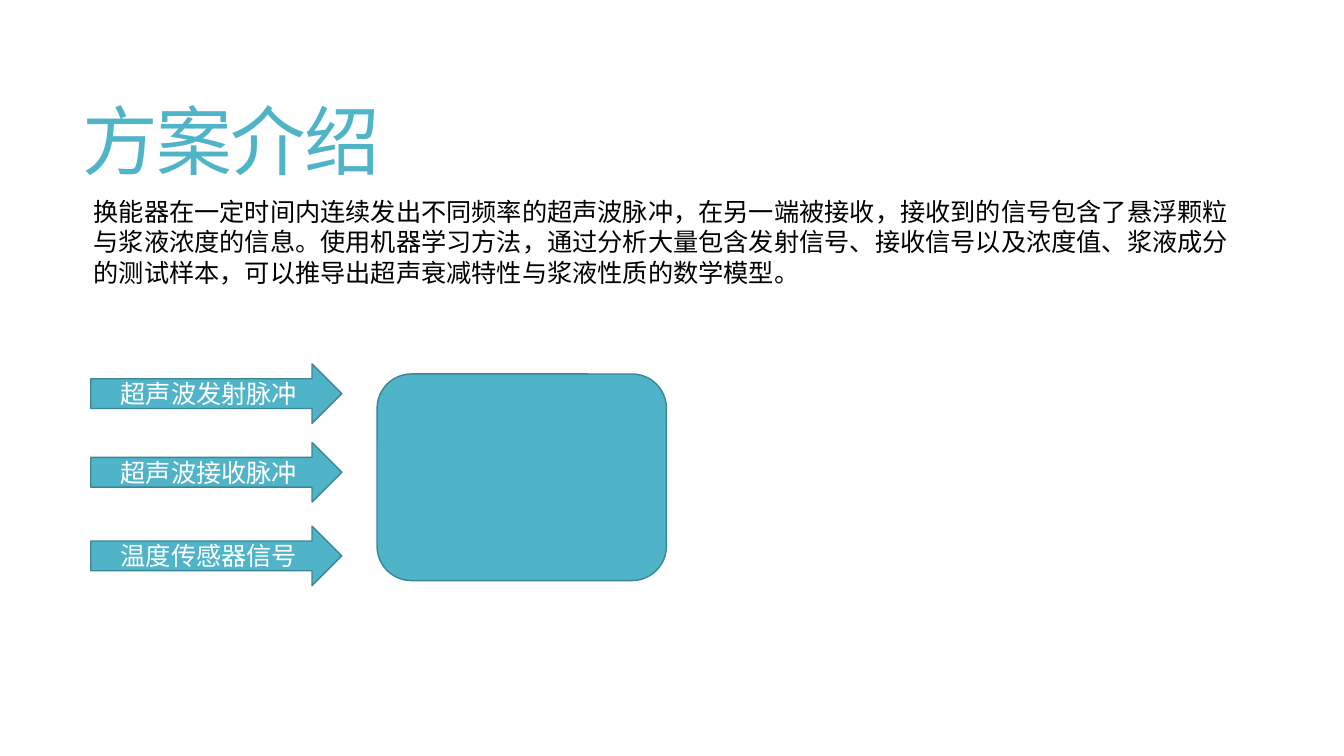
import pptx
import pptx.util
import pptx.dml.color
import pptx.enum.shapes
import pptx.enum.text

Inches = pptx.util.Inches
Pt = pptx.util.Pt
RGBColor = pptx.dml.color.RGBColor
Preset = pptx.enum.shapes.MSO_SHAPE
Align = pptx.enum.text.PP_ALIGN
Anchor = pptx.enum.text.MSO_ANCHOR

TEAL = RGBColor(0x50, 0xB4, 0xC8)
DARK_TEAL = RGBColor(0x3B, 0x85, 0x94)
BLACK = RGBColor(0x00, 0x00, 0x00)
WHITE = RGBColor(0xFF, 0xFF, 0xFF)


class SlideBuilder:
    font_name = "Calibri"
    body_size = 18
    title_size = 54

    def __init__(self, slide):
        self.slide = slide

    def add_text(self, frame, text, size, color, align=Align.LEFT):
        frame.word_wrap = True
        paragraph = frame.paragraphs[0]
        paragraph.alignment = align
        run = paragraph.add_run()
        run.text = text
        run.font.name = self.font_name
        run.font.size = Pt(size)
        run.font.color.rgb = color
        return paragraph, run

    def text_box(self, left, top, width, height):
        return self.slide.shapes.add_textbox(
            Inches(left), Inches(top), Inches(width), Inches(height)).text_frame

    def title(self, text, left, top, width, height):
        frame = self.text_box(left, top, width, height)
        frame.vertical_anchor = Anchor.MIDDLE
        paragraph, run = self.add_text(frame, text, self.title_size, TEAL)
        paragraph.line_spacing = 0.85
        # Letter spacing in hundredths of a point
        run._r.get_or_add_rPr().set("spc", "-120")

    def body(self, text, left, top, width, height):
        frame = self.text_box(left, top, width, height)
        self.add_text(frame, text, self.body_size, BLACK)
        frame.auto_size = pptx.enum.text.MSO_AUTO_SIZE.SHAPE_TO_FIT_TEXT

    def block(self, preset, left, top, width, height, text=None):
        shape = self.slide.shapes.add_shape(
            preset, Inches(left), Inches(top), Inches(width), Inches(height))
        shape.shadow.inherit = False
        shape.fill.solid()
        shape.fill.fore_color.rgb = TEAL
        shape.line.color.rgb = DARK_TEAL
        shape.line.width = Pt(1)
        if text:
            shape.text_frame.vertical_anchor = Anchor.MIDDLE
            self.add_text(shape.text_frame, text, self.body_size, WHITE, Align.CENTER)


def main():
    presentation = pptx.Presentation()
    presentation.slide_width = Inches(13.33)
    presentation.slide_height = Inches(7.5)
    builder = SlideBuilder(presentation.slides.add_slide(presentation.slide_layouts[6]))

    # Heading and description
    builder.title("方案介绍", 0.72, 0.55, 11.78, 1.81)
    builder.body(
        "换能器在一定时间内连续发出不同频率的超声波脉冲，在另一端被接收，"
        "接收到的信号包含了悬浮颗粒与浆液浓度的信息。使用机器学习方法，"
        "通过分析大量包含发射信号、接收信号以及浓度值、浆液成分的测试样本，"
        "可以推导出超声衰减特性与浆液性质的数学模型。",
        0.83, 1.9, 11.45, 1.01)

    # Input signals
    signals = [("超声波发射脉冲", 3.61), ("超声波接收脉冲", 4.39), ("温度传感器信号", 5.22)]
    for label, top in signals:
        builder.block(Preset.RIGHT_ARROW, 0.9, top, 2.49, 0.59, label)

    # Model box
    builder.block(Preset.ROUNDED_RECTANGLE, 3.74, 3.71, 2.87, 2.05)

    presentation.save("out.pptx")


if __name__ == "__main__":
    main()
